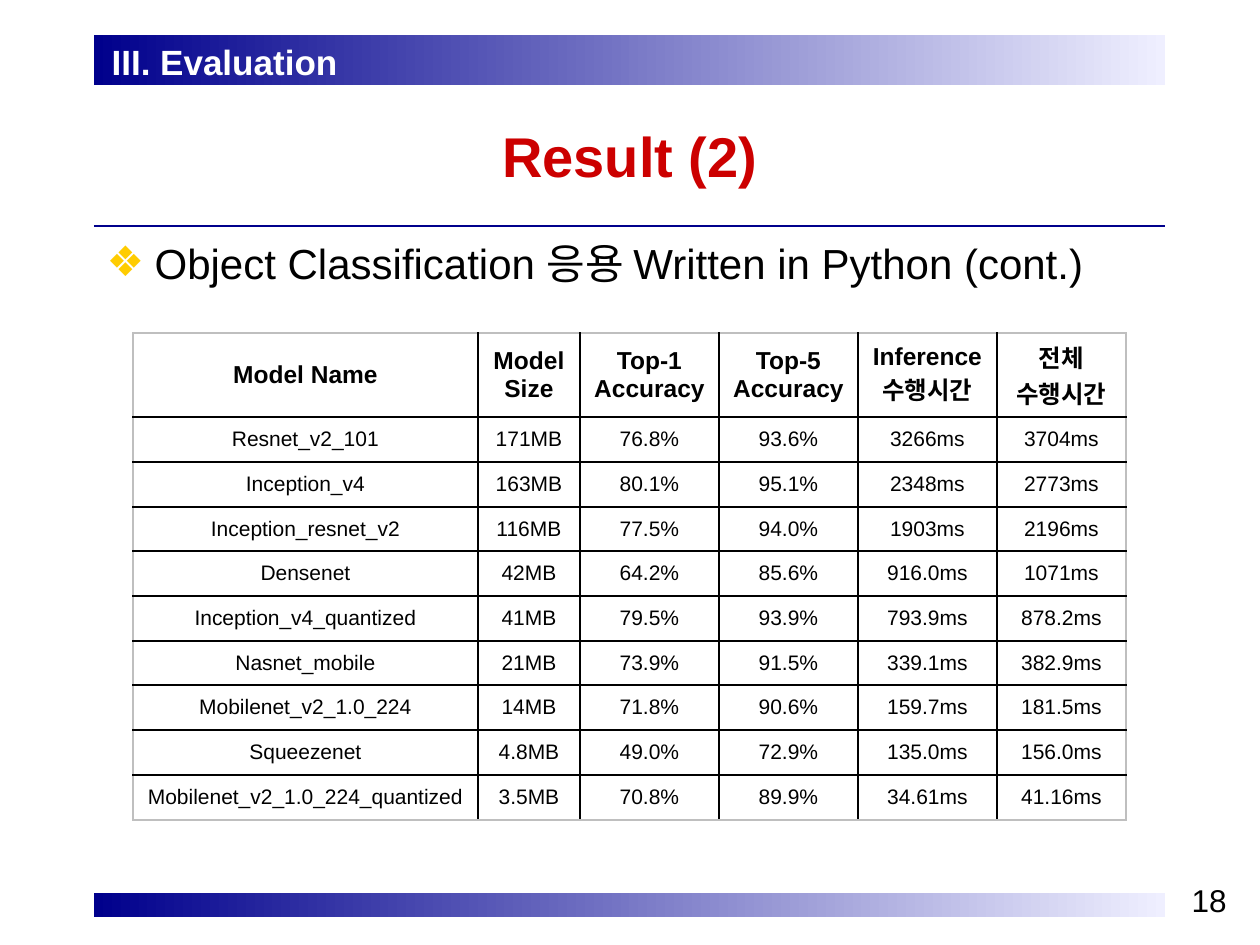
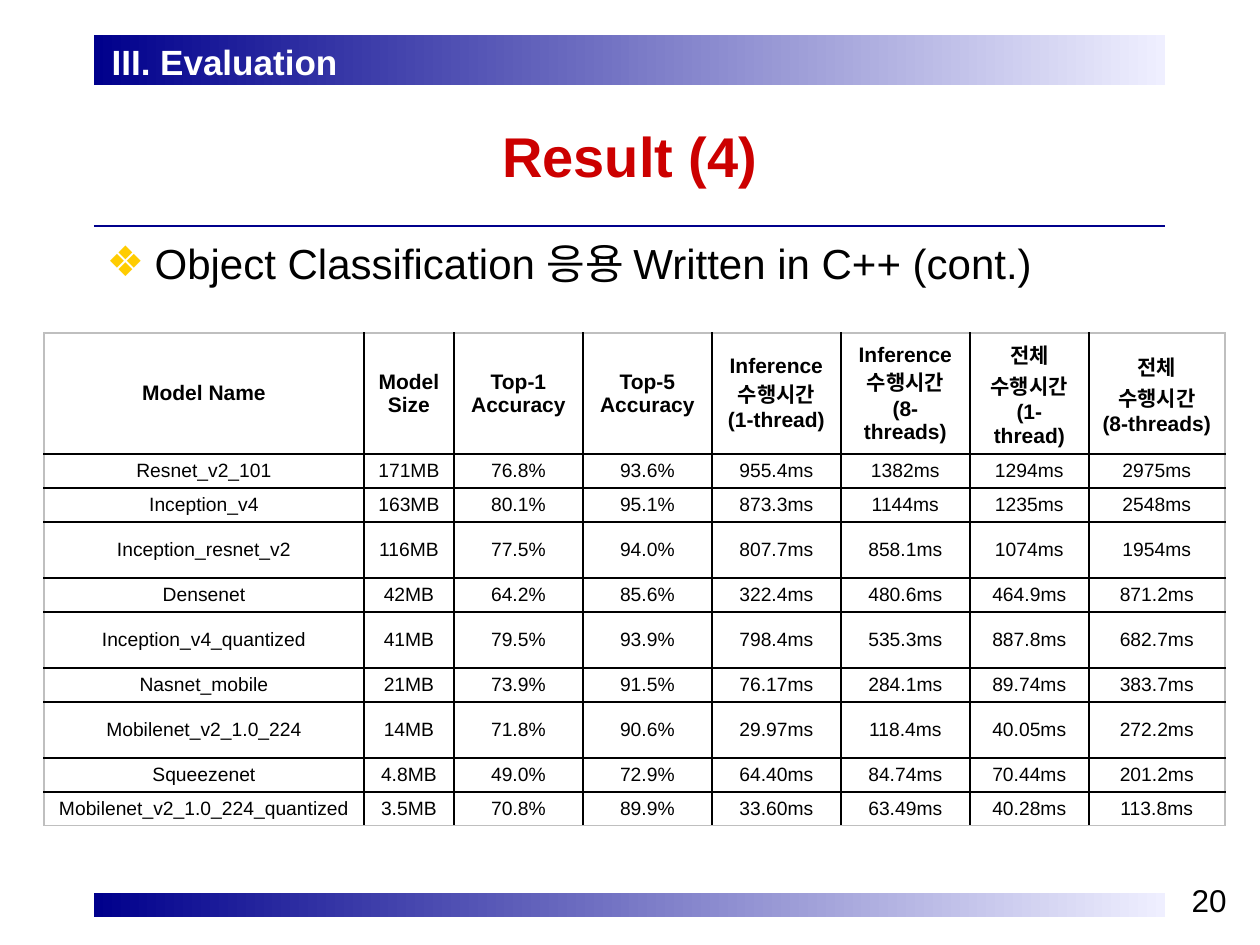
from lxml import etree
from pptx import Presentation
from pptx import util as u
from pptx.dml.color import RGBColor
from pptx.enum import shapes, text
from pptx.oxml import ns

PX = u.Inches(1) / 126
FONT = "Arial"
NAVY, PALE, RED, GOLD = "00008C", "EFEFFF", "CC0000", "FFCC00"
BLACK, WHITE, GREY = "000000", "FFFFFF", "BFBFBF"

TITLE_BOX = (94, 88, 1072, 135)
BODY_BOX = (94, 231, 1072, 620)
SECTION_BOX = (99, 39, 1071, 44)
TOP_BAND = (94, 35, 1071, 50)
BOTTOM_BAND = (94, 893, 1071, 24)
NUMBER_BOX = (1176, 875, 63, 50)
RULE_Y = 226

MODELS = [
    ("Resnet_v2_101", "171MB", "76.8%", "93.6%"),
    ("Inception_v4", "163MB", "80.1%", "95.1%"),
    ("Inception_resnet_v2", "116MB", "77.5%", "94.0%"),
    ("Densenet", "42MB", "64.2%", "85.6%"),
    ("Inception_v4_quantized", "41MB", "79.5%", "93.9%"),
    ("Nasnet_mobile", "21MB", "73.9%", "91.5%"),
    ("Mobilenet_v2_1.0_224", "14MB", "71.8%", "90.6%"),
    ("Squeezenet", "4.8MB", "49.0%", "72.9%"),
    ("Mobilenet_v2_1.0_224_quantized", "3.5MB", "70.8%", "89.9%"),
]
MODEL_HEADINGS = ("Model Name", "Model Size", "Top-1 Accuracy", "Top-5 Accuracy")

PYTHON_RESULT = {
    "title": "Result (2)",
    "topic": "Object Classification 응용 Written in Python (cont.)",
    "number": "18",
    "origin": (133, 333),
    "columns": [345, 102, 139, 139, 139, 129],
    "rows": [84] + [45, 45, 44] * 2 + [45] * 3,
    "sizes": (14, 12),
    "headings": ("Inference 수행시간", "전체\n수행시간"),
    "times": [
        ("3266ms", "3704ms"), ("2348ms", "2773ms"), ("1903ms", "2196ms"),
        ("916.0ms", "1071ms"), ("793.9ms", "878.2ms"), ("339.1ms", "382.9ms"),
        ("159.7ms", "181.5ms"), ("135.0ms", "156.0ms"), ("34.61ms", "41.16ms"),
    ],
}
CPP_RESULT = {
    "title": "Result (4)",
    "topic": "Object Classification 응용 Written in C++ (cont.)",
    "number": "20",
    "origin": (44, 333),
    "columns": [320, 90, 129, 129, 129, 129, 119, 136],
    "rows": [121, 34] + [34, 56] * 3 + [34, 34],
    "sizes": (12, 11),
    "headings": (
        "Inference 수행시간\n(1-thread)", "Inference 수행시간\n(8-threads)",
        "전체\n수행시간\n(1-thread)", "전체\n수행시간\n(8-threads)",
    ),
    "times": [
        ("955.4ms", "1382ms", "1294ms", "2975ms"),
        ("873.3ms", "1144ms", "1235ms", "2548ms"),
        ("807.7ms", "858.1ms", "1074ms", "1954ms"),
        ("322.4ms", "480.6ms", "464.9ms", "871.2ms"),
        ("798.4ms", "535.3ms", "887.8ms", "682.7ms"),
        ("76.17ms", "284.1ms", "89.74ms", "383.7ms"),
        ("29.97ms", "118.4ms", "40.05ms", "272.2ms"),
        ("64.40ms", "84.74ms", "70.44ms", "201.2ms"),
        ("33.60ms", "63.49ms", "40.28ms", "113.8ms"),
    ],
}


def px(*lengths):
    """Turn pixel lengths into EMU."""
    return [u.Emu(round(length * PX)) for length in lengths]


def color(value):
    """Turn a hex string into a colour."""
    return RGBColor.from_string(value)


def add_run(paragraph, words, size, value, bold=False):
    """Append one formatted run to a paragraph."""
    run = paragraph.add_run()
    run.text = words
    run.font.name = FONT
    run.font.size = u.Pt(size)
    run.font.bold = bold
    run.font.color.rgb = color(value)


def set_bullet(paragraph, indent=0, mark=None):
    """Give a paragraph a hanging gold bullet, or none."""
    properties = paragraph._p.get_or_add_pPr()
    (width,) = px(indent)
    properties.set("marL", str(width))
    properties.set("indent", str(-width))
    if mark is None:
        etree.SubElement(properties, ns.qn("a:buNone"))
        return
    bullet_color = etree.SubElement(properties, ns.qn("a:buClr"))
    etree.SubElement(bullet_color, ns.qn("a:srgbClr"), val=GOLD)
    etree.SubElement(properties, ns.qn("a:buFont"), typeface=FONT)
    etree.SubElement(properties, ns.qn("a:buChar"), char=mark)


def fill_placeholder(placeholder, box, anchor, inset=0):
    """Move a placeholder to a box and return its first paragraph."""
    placeholder.left, placeholder.top, placeholder.width, placeholder.height = px(*box)
    frame = placeholder.text_frame
    frame.auto_size = text.MSO_AUTO_SIZE.NONE
    frame.vertical_anchor = anchor
    frame.margin_top, frame.margin_bottom = px(inset, inset)
    return frame.paragraphs[0]


def add_band(slide, box):
    """Draw a band that fades from navy to pale."""
    band = slide.shapes.add_shape(shapes.MSO_SHAPE.RECTANGLE, *px(*box))
    band.shadow.inherit = False
    band.line.fill.background()
    band.fill.gradient()
    band.fill.gradient_angle = 0
    for stop, value in zip(band.fill.gradient_stops, (NAVY, PALE)):
        stop.color.rgb = color(value)


def add_frame(slide, number):
    """Draw the bands, the rule and the page number."""
    add_band(slide, BOTTOM_BAND)
    add_band(slide, TOP_BAND)
    left, _, width, _ = TOP_BAND
    rule = slide.shapes.add_connector(
        shapes.MSO_CONNECTOR.STRAIGHT, *px(left, RULE_Y, left + width, RULE_Y))
    rule.line.color.rgb = color(NAVY)
    rule.line.width = u.Pt(0.75)
    etree.SubElement(rule.element.spPr, ns.qn("a:effectLst"))
    frame = slide.shapes.add_textbox(*px(*NUMBER_BOX)).text_frame
    frame.word_wrap = False
    frame.vertical_anchor = text.MSO_ANCHOR.MIDDLE
    paragraph = frame.paragraphs[0]
    paragraph.alignment = text.PP_ALIGN.RIGHT
    add_run(paragraph, number, 18, BLACK)


def add_headings(slide, title, topic):
    """Fill the title, the topic bullet and the section name."""
    title_shape, body, section = slide.placeholders
    paragraph = fill_placeholder(title_shape, TITLE_BOX, text.MSO_ANCHOR.MIDDLE)
    paragraph.alignment = text.PP_ALIGN.CENTER
    add_run(paragraph, title, 32, RED, True)

    paragraph = fill_placeholder(body, BODY_BOX, text.MSO_ANCHOR.TOP, 6)
    paragraph.space_before = u.Pt(4.8)
    set_bullet(paragraph, 48, "❖")
    add_run(paragraph, topic, 24, BLACK)

    paragraph = fill_placeholder(section, SECTION_BOX, text.MSO_ANCHOR.MIDDLE)
    paragraph.space_before = u.Pt(0)
    set_bullet(paragraph)
    add_run(paragraph, "III. Evaluation", 20, WHITE, True)
    slide.shapes.element.append(section.element)


def set_borders(cell, outer_sides):
    """Draw cell borders, grey on the table's outside and black within."""
    properties = cell._tc.get_or_add_tcPr()
    for position, side in enumerate("LRTB"):
        line = etree.Element(ns.qn(f"a:ln{side}"), w=str(u.Pt(1)))
        fill = etree.SubElement(line, ns.qn("a:solidFill"))
        value = GREY if side in outer_sides else BLACK
        etree.SubElement(fill, ns.qn("a:srgbClr"), val=value)
        properties.insert(position, line)


def fill_cell(cell, words, size, bold):
    """Write centred lines into a white cell."""
    cell.fill.solid()
    cell.fill.fore_color.rgb = color(WHITE)
    cell.vertical_anchor = text.MSO_ANCHOR.MIDDLE
    cell.margin_top, cell.margin_bottom = px(5, 5)
    for index, line in enumerate(words.split("\n")):
        frame = cell.text_frame
        paragraph = frame.add_paragraph() if index else frame.paragraphs[0]
        paragraph.alignment = text.PP_ALIGN.CENTER
        add_run(paragraph, line, size, BLACK, bold)


def add_result_table(slide, result):
    """Build the table of models and run times."""
    records = [MODEL_HEADINGS + result["headings"]]
    records += [model + times for model, times in zip(MODELS, result["times"])]
    columns, rows = result["columns"], result["rows"]
    box = (*result["origin"], sum(columns), sum(rows))
    table = slide.shapes.add_table(len(rows), len(columns), *px(*box)).table
    table.first_row = table.horz_banding = False
    for column, width in zip(table.columns, px(*columns)):
        column.width = width
    for row, height in zip(table.rows, px(*rows)):
        row.height = height
    heading_size, value_size = result["sizes"]
    for r, record in enumerate(records):
        for c, words in enumerate(record):
            cell = table.cell(r, c)
            fill_cell(cell, words, value_size if r else heading_size, r == 0)
            edges = {"L": c == 0, "R": c == len(columns) - 1,
                     "T": r == 0, "B": r == len(rows) - 1}
            set_borders(cell, [side for side, outer in edges.items() if outer])


def add_result_slide(presentation, result):
    """Add one slide with its frame, headings and table."""
    slide = presentation.slides.add_slide(presentation.slide_layouts[3])
    add_frame(slide, result["number"])
    add_headings(slide, result["title"], result["topic"])
    add_result_table(slide, result)


def main():
    """Build and save the presentation."""
    presentation = Presentation()
    presentation.slide_width, presentation.slide_height = px(1260, 945)
    for result in (PYTHON_RESULT, CPP_RESULT):
        add_result_slide(presentation, result)
    presentation.save("out.pptx")


if __name__ == "__main__":
    main()
